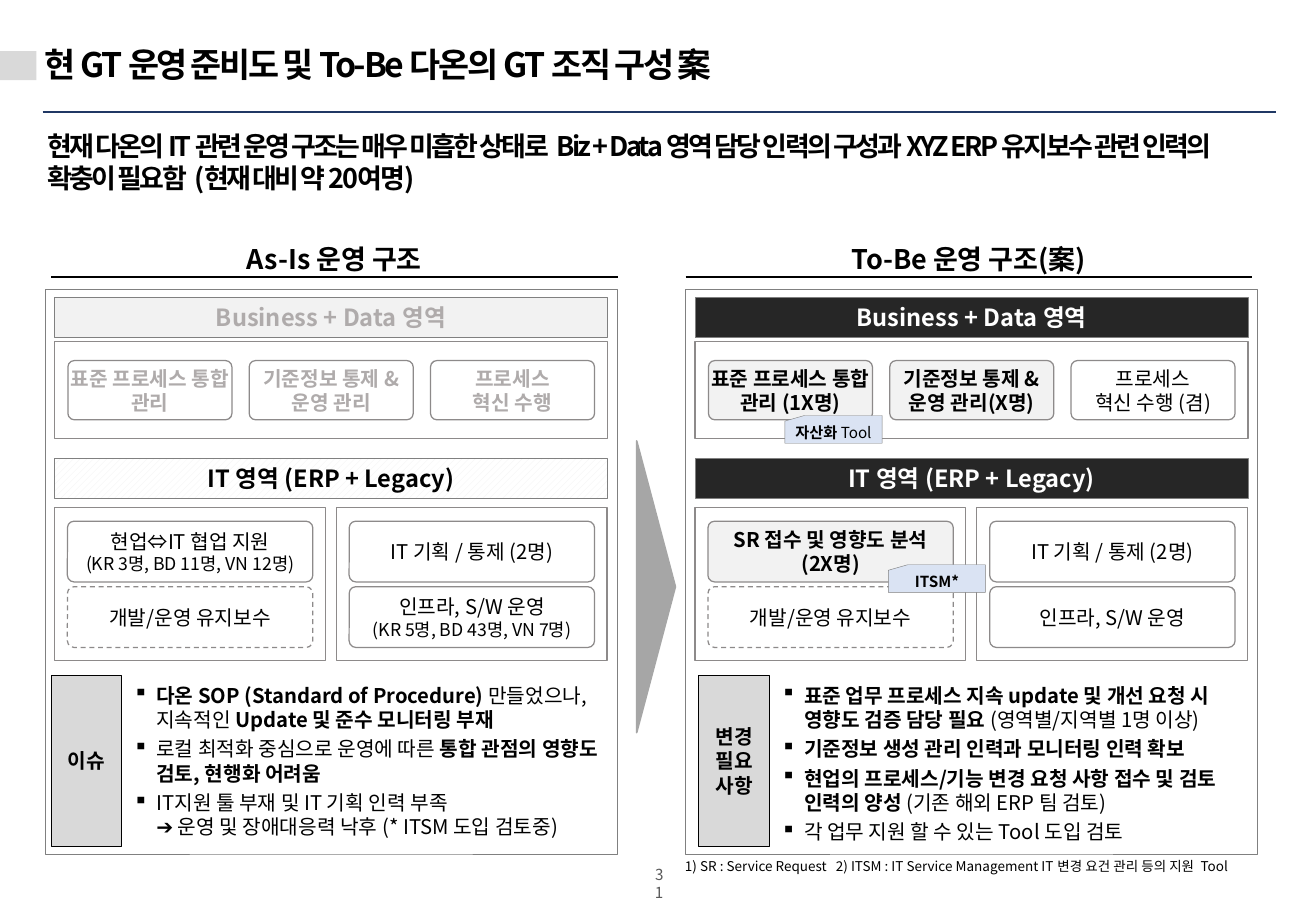
import pptx
import pptx.dml.color
import pptx.enum.dml
import pptx.enum.shapes
import pptx.enum.text
import pptx.oxml.ns
import pptx.util
from lxml import etree

Cm, Pt = pptx.util.Cm, pptx.util.Pt
RGBColor = pptx.dml.color.RGBColor
SHAPE = pptx.enum.shapes.MSO_SHAPE
ALIGN = pptx.enum.text.PP_ALIGN
ANCHOR = pptx.enum.text.MSO_ANCHOR
qn = pptx.oxml.ns.qn

BLACK = RGBColor(0x00, 0x00, 0x00)
WHITE = RGBColor(0xFF, 0xFF, 0xFF)
INK = RGBColor(0x26, 0x26, 0x26)
MUTED = RGBColor(0xAF, 0xAB, 0xAB)
PALE = RGBColor(0xF2, 0xF2, 0xF2)
SILVER = RGBColor(0xD9, 0xD9, 0xD9)
ARROW = RGBColor(0xA6, 0xA6, 0xA6)
FRAME = RGBColor(0x80, 0x80, 0x80)
BORDER = RGBColor(0x8D, 0x8A, 0x8A)
PAGE = RGBColor(0x59, 0x59, 0x59)
TAG = RGBColor(0xDA, 0xE3, 0xF3)
NAVY = RGBColor(0x20, 0x38, 0x64)


class Deck:
    """Draws the elements of one slide; ** marks bold, \\v a line break."""
    font = "Noto Sans CJK KR"

    def __init__(self, width, height):
        self.file = pptx.Presentation()
        self.file.slide_width, self.file.slide_height = Cm(width), Cm(height)
        self.slide = self.file.slides.add_slide(self.file.slide_layouts[5])

    def style(self, run, size, color, bold, tracking):
        run.font.size, run.font.bold = Pt(size), bold
        run.font.color.rgb = color
        run.font.name = self.font
        properties = run.font._element
        etree.SubElement(properties, qn("a:ea")).set("typeface", self.font)
        if tracking:
            properties.set("spc", str(round(tracking * 100)))

    def fill_text(self, frame, text, size, color=BLACK, align=ALIGN.CENTER, anchor=ANCHOR.MIDDLE,
                  insets=(0.25, 0.13), wrap=True, note_size=None, tracking=0, spacing=None):
        frame.auto_size = pptx.enum.text.MSO_AUTO_SIZE.NONE
        frame.word_wrap, frame.vertical_anchor = wrap, anchor
        frame.margin_left = frame.margin_right = Cm(insets[0])
        frame.margin_top = frame.margin_bottom = Cm(insets[1])
        for index, content in enumerate(text.split("\n")):
            paragraph = frame.add_paragraph() if index else frame.paragraphs[0]
            paragraph.alignment = align
            if spacing:
                paragraph.line_spacing = spacing
            bold = False
            for row, line in enumerate(content.split("\v")):
                if row:
                    paragraph.add_line_break()
                for part, piece in enumerate(line.split("**")):
                    bold = bold != (part > 0)
                    if piece:
                        run = paragraph.add_run()
                        run.text = piece
                        self.style(run, note_size if row and note_size else size,
                                   color, bold, tracking)

    def title(self, box, text, **look):
        heading = self.slide.shapes.title
        heading.left, heading.top, heading.width, heading.height = map(Cm, box)
        self.fill_text(heading.text_frame, text, **look)

    def text(self, box, text, **look):
        frame = self.slide.shapes.add_textbox(*map(Cm, box)).text_frame
        self.fill_text(frame, text, **look)
        return frame

    def bullets(self, box, text):
        frame = self.text(box, text, size=12, align=ALIGN.LEFT, anchor=ANCHOR.TOP)
        for paragraph in frame.paragraphs:
            paragraph.space_after = Pt(3)
            properties = paragraph._p.get_or_add_pPr()
            properties.set("marL", str(Cm(0.48)))
            properties.set("indent", str(-Cm(0.48)))
            etree.SubElement(properties, qn("a:buChar")).set("char", "▪")

    def shape(self, kind, box, fill=None, line=None, weight=0.75, dashed=False, hatched=False):
        shape = self.slide.shapes.add_shape(kind, *map(Cm, box))
        shape.shadow.inherit = False
        if hatched:
            shape.fill.patterned()
            shape.fill.pattern = pptx.enum.dml.MSO_PATTERN.WIDE_UPWARD_DIAGONAL
            shape.fill.fore_color.rgb, shape.fill.back_color.rgb = fill, WHITE
        elif fill is not None:
            shape.fill.solid()
            shape.fill.fore_color.rgb = fill
        else:
            shape.fill.background()
        if line is None:
            shape.line.fill.background()
        else:
            shape.line.color.rgb, shape.line.width = line, Pt(weight)
        if dashed:
            shape.line.dash_style = pptx.enum.dml.MSO_LINE.DASH
        return shape

    def bar(self, box, text, fill, color, hatched=False):
        bar = self.shape(SHAPE.RECTANGLE, box, fill, FRAME, 0.25, hatched=hatched)
        self.fill_text(bar.text_frame, f"**{text}**", 14, color)

    def card(self, box, text, fill=WHITE, color=BLACK, dashed=False, note_size=None):
        card = self.shape(SHAPE.ROUNDED_RECTANGLE, box, fill, BORDER, dashed=dashed)
        card.adjustments[0] = 0.11
        self.fill_text(card.text_frame, text, 12, color, insets=(0, 0.1), note_size=note_size)

    def tag(self, left, top, text):
        tag = self.shape(SHAPE.FLOWCHART_CARD, (left, top, 2.03, 0.58), TAG, FRAME, 0.25)
        self.fill_text(tag.text_frame, text, 9, wrap=False)

    def rule(self, left, right, y, color, weight):
        rule = self.slide.shapes.add_connector(
            pptx.enum.shapes.MSO_CONNECTOR.STRAIGHT, Cm(left), Cm(y), Cm(right), Cm(y))
        rule.line.color.rgb, rule.line.width = color, Pt(weight)
        etree.SubElement(rule._element.spPr, qn("a:effectLst"))


AS_IS = dict(
    left=0.94, heading_left=1.07, label_left=1.07, heading="As-Is 운영 구조",
    business=(PALE, MUTED), it=(PALE, BLACK, True), process_color=MUTED,
    processes=[("**표준 프로세스 통합 관리**", WHITE), ("**기준정보 통제 & 운영 관리**", WHITE),
               ("**프로세스\v혁신 수행**", WHITE)],
    teams=[("현업⇔IT 협업 지원\v(KR 3명, BD 11명, VN 12명)", WHITE, 10.5),
           ("IT 기획 / 통제 (2명)", WHITE, None), ("개발/운영 유지보수", WHITE, None),
           ("인프라, S/W 운영\v(KR 5명, BD 43명, VN 7명)", WHITE, 10.5)],
    label="**이슈**",
    points="**다온 SOP (Standard of Procedure) **만들었으나, 지속적인 **Update 및 준수 모니터링 부재**\n"
           "로컬 최적화 중심으로 운영에 따른 **통합 관점의 영향도 검토, 현행화 어려움**\n"
           "IT지원 툴 부재 및 IT 기획 인력 부족\v➔ 운영 및 장애대응력 낙후 (* ITSM 도입 검토중)")
TO_BE = dict(
    left=14.33, heading_left=14.33, label_left=14.61, heading="To-Be 운영 구조(案)",
    business=(INK, WHITE), it=(INK, WHITE), process_color=BLACK,
    processes=[("**표준 프로세스 통합 관리 (1X명)**", PALE), ("**기준정보 통제 & 운영 관리(X명)**", PALE),
               ("프로세스\v혁신 수행 (겸)", WHITE)],
    teams=[("**SR 접수 및 영향도 분석\v(2X명)**", PALE, None),
           ("IT 기획 / 통제 (2명)", WHITE, None), ("개발/운영 유지보수", WHITE, None),
           ("인프라, S/W 운영", WHITE, None)],
    label="**변경\v필요\v사항**",
    points="**표준 업무 프로세스 지속 update 및 개선 요청 시 영향도 검증 담당 필요 **(영역별/지역별 1명 이상)\n"
           "**기준정보 생성 관리 인력과 모니터링 인력 확보**\n"
           "**현업의 프로세스/기능 변경 요청 사항 접수 및 검토 인력의 양성 **(기존 해외 ERP 팀 검토)\n"
           "각 업무 지원 할 수 있는 Tool 도입 검토")


def draw_structure(deck, side):
    left, heading_left, label_left = side["left"], side["heading_left"], side["label_left"]
    inner = left + 0.2
    # Heading and frame
    deck.text((heading_left, 4.9, 11.84, 0.89), f"**{side['heading']}**", size=16,
              insets=(0, 0), wrap=False, spacing=1.2)
    deck.rule(heading_left, heading_left + 11.84, 5.79, BLACK, 1)
    deck.shape(SHAPE.RECTANGLE, (left, 6.05, 11.96, 11.81), line=FRAME, weight=0.25)
    # Business + Data area
    deck.bar((inner, 6.22, 11.56, 0.84), "Business + Data 영역", *side["business"])
    deck.shape(SHAPE.RECTANGLE, (inner, 7.14, 11.56, 2.03), WHITE, BORDER)
    for column, (text, fill) in enumerate(side["processes"]):
        deck.card((left + 0.48 + 3.79 * column, 7.54, 3.43, 1.24), text, fill,
                  side["process_color"])
    # IT area
    deck.bar((inner, 9.58, 11.56, 0.84), "IT 영역 (ERP + Legacy)", *side["it"])
    for column in range(2):
        deck.shape(SHAPE.RECTANGLE, (inner + 5.89 * column, 10.62, 5.66, 3.2), WHITE, BORDER)
    for index, (text, fill, note_size) in enumerate(side["teams"]):
        row, column = divmod(index, 2)
        deck.card((left + 0.47 + 5.89 * column, 10.9 + 1.37 * row, 5.13, 1.27), text, fill,
                  dashed=index == 2, note_size=note_size)
    # Issues or required changes
    label = deck.shape(SHAPE.RECTANGLE, (label_left, 14.12, 1.47, 3.58), SILVER, BLACK)
    deck.fill_text(label.text_frame, side["label"], 12, insets=(0, 0.05), wrap=False)
    deck.bullets((label_left + 1.47, 14.15, 10.49, 3.6), side["points"])


def main():
    deck = Deck(27.51, 19.05)
    # Title and lead message
    deck.rule(0.89, 26.67, 2.34, NAVY, 1.5)
    deck.shape(SHAPE.RECTANGLE, (0, 1.07, 0.76, 0.61), SILVER)
    deck.title((0.69, 0.79, 22.5, 1.09), "**현 GT 운영 준비도 및 To-Be 다온의 GT 조직 구성 案**",
               size=20, align=ALIGN.LEFT, insets=(0.23, 0.13), tracking=-1.4)
    deck.text((0.76, 2.57, 25.93, 1.6),
              "**현재 다온의 IT 관련 운영 구조는 매우 미흡한 상태로  Biz + Data 영역 담당 인력의 구성과 "
              "XYZ ERP 유지보수 관련 인력의 확충이 필요함  (현재 대비 약 20여명)**",
              size=16, align=ALIGN.LEFT, anchor=ANCHOR.TOP, insets=(0.23, 0.13), tracking=-1.5)
    # Both structures, the tools and the arrow between
    for side in (AS_IS, TO_BE):
        draw_structure(deck, side)
    deck.tag(16.41, 8.69, "**자산화 **Tool")
    deck.tag(18.57, 11.81, "**ITSM*")
    arrow = deck.shape(SHAPE.RIGHT_ARROW, (13.31, 9.22, 0.81, 6.1), ARROW, ARROW, 1)
    arrow.adjustments[1] = 1.44
    # Footnote and page number
    deck.text((14.12, 17.63, 11.53, 0.89),
              "1) SR : Service Request   2) ITSM : IT Service Management IT 변경 요건 관리 등의 지원  Tool",
              size=8, align=ALIGN.LEFT, insets=(0.2, 0.1), wrap=False, spacing=1.2)
    deck.text((13.44, 18.16, 0.66, 0.64), "31", size=9, color=PAGE, tracking=-0.7)
    deck.file.save("out.pptx")


if __name__ == "__main__":
    main()
